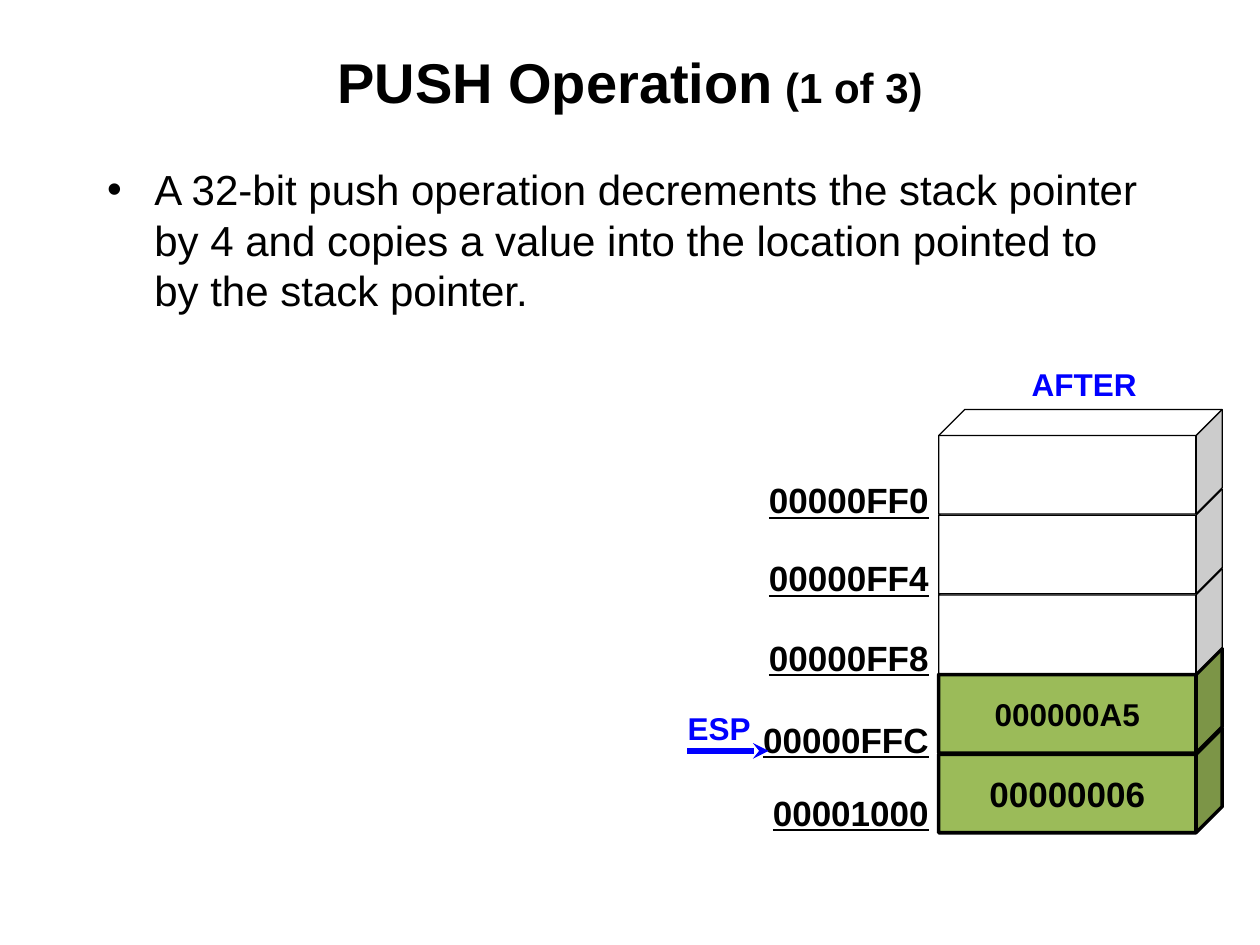
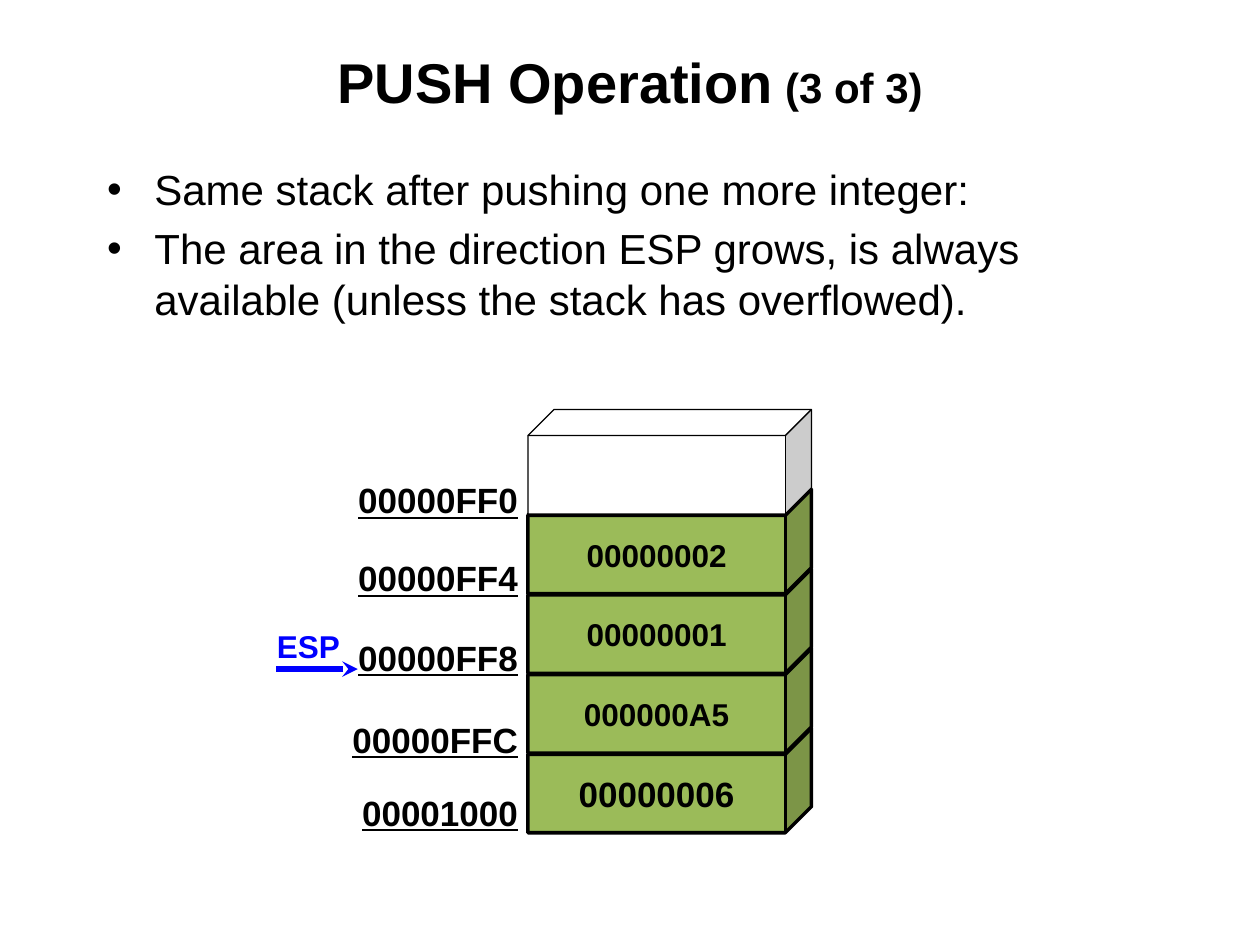
from dataclasses import dataclass
from typing import Optional

from pptx import Presentation
from pptx.dml.color import RGBColor
from pptx.enum.shapes import MSO_CONNECTOR as Link, MSO_SHAPE as Form
from pptx.enum.text import MSO_ANCHOR as Anchor, MSO_AUTO_SIZE as Fit, PP_ALIGN as Align
from pptx.oxml.ns import qn
from pptx.slide import Slide
from pptx.text.text import Font
from pptx.util import Inches, Pt
from lxml.etree import SubElement

WIDE, HIGH = Inches(10), Inches(7.5)
FACE = "Arial"
BLACK, WHITE, GREEN, BLUE = "000000", "FFFFFF", "9BBB59", "0000FF"

CELL_W, CELL_H, PITCH, TOP = 22.5, 11.07, 8.43, 43.33
SLOTS = [
    ("00000FF0", 50),
    ("00000FF4", 58.27),
    ("00000FF8", 66.67),
    ("00000FFC", 75.33),
    ("00001000", 83.07),
]


@dataclass
class Box:
    x: float
    y: float
    w: float
    h: float

    def emu(self) -> tuple:
        return across(self.x), down(self.y), across(self.w), down(self.h)


@dataclass
class Page:
    count: str
    points: list[str]
    left: float
    values: list[str]
    head: Optional[str] = None


PAGES = [
    Page(
        "1 of 3",
        ["A 32-bit push operation decrements the stack pointer by 4 and copies "
         "a value into the location pointed to by the stack pointer."],
        74.5,
        ["000000A5", "00000006"],
        "AFTER",
    ),
    Page(
        "3 of 3",
        ["Same stack after pushing one more integer:",
         "The area in the direction ESP grows, is always available "
         "(unless the stack has overflowed)."],
        41.9,
        ["00000002", "00000001", "000000A5", "00000006"],
    ),
]


def across(share: float) -> int:
    return round(WIDE * share / 100)


def down(share: float) -> int:
    return round(HIGH * share / 100)


def tint(code: str) -> RGBColor:
    return RGBColor.from_string(code)


def style(font: Font, size: float, code: str = BLACK, bold: bool = True) -> None:
    font.name, font.size, font.bold = FACE, Pt(size), bold
    font.color.rgb = tint(code)


def place(shape, box: Box) -> None:
    shape.left, shape.top, shape.width, shape.height = box.emu()


def add_title(slide: Slide, count: str) -> None:
    title = slide.shapes.title
    place(title, Box(5, 2.27, 90, 12.67))
    frame = title.text_frame
    frame.auto_size, frame.vertical_anchor = Fit.NONE, Anchor.MIDDLE
    frame.text = "PUSH Operation"
    line = frame.paragraphs[0]
    line.alignment = Align.CENTER
    line.add_run().text = f" ({count})"
    for run, size in zip(line.runs, (32, 24)):
        style(run.font, size)


def add_list(slide: Slide, points: list[str]) -> None:
    body = slide.placeholders[1]
    place(body, Box(7.5, 16.67, 85, 18.93))
    frame = body.text_frame
    frame.auto_size = Fit.NONE
    frame.text = "\n".join(points)
    frame.paragraphs[0].space_before = Pt(0)
    for line in frame.paragraphs:
        style(line.runs[0].font, 24, bold=False)


def add_note(slide: Slide, box: Box, text: str, size: float, code: str,
             side: Align = Align.LEFT, wrap: bool = False) -> Font:
    frame = slide.shapes.add_textbox(*box.emu()).text_frame
    frame.word_wrap, frame.auto_size = wrap, Fit.SHAPE_TO_FIT_TEXT
    frame.text = text
    line = frame.paragraphs[0]
    line.alignment = side
    font = line.runs[0].font
    style(font, size, code)
    return font


def add_cell(slide: Slide, box: Box, value: str, size: float) -> None:
    cube = slide.shapes.add_shape(Form.CUBE, *box.emu())
    cube.shadow.inherit = False
    cube.fill.solid()
    cube.fill.fore_color.rgb = tint(GREEN if value else WHITE)
    cube.line.color.rgb = tint(BLACK)
    cube.line.width = Pt(2 if value else 0.75)
    if value:
        frame = cube.text_frame
        frame.text, frame.vertical_anchor = value, Anchor.MIDDLE
        line = frame.paragraphs[0]
        line.alignment = Align.CENTER
        style(line.runs[0].font, size)


def add_mark(slide: Slide, left: float, y: float) -> None:
    arrow = slide.shapes.add_connector(
        Link.STRAIGHT, across(left - 13.5), down(y), across(left - 20), down(y))
    arrow.line.color.rgb, arrow.line.width = tint(BLUE), Pt(3)
    props = arrow._element.spPr
    SubElement(props.find(qn("a:ln")), qn("a:headEnd"), type="stealth")
    SubElement(props, qn("a:effectLst"))
    add_note(slide, Box(left - 20.9, y - 5.13, 7, 5.33), "ESP", 18, BLUE)


def add_stack(slide: Slide, page: Page) -> None:
    last = len(SLOTS) - 1
    free = len(SLOTS) - len(page.values)
    cells = [""] * free + page.values
    for row in range(last, -1, -1):
        box = Box(page.left, TOP + row * PITCH, CELL_W, CELL_H)
        add_cell(slide, box, cells[row], 20 if row == last else 18)
    for name, y in SLOTS:
        box = Box(page.left - 15.9, y, 16.1, 5.87)
        font = add_note(slide, box, name, 20, BLACK, Align.RIGHT, True)
        font.underline = True
    # The removed marker line is intentionally absent.
    add_mark(slide, page.left, SLOTS[free][1] + 4.13) if len(page.values) == 2 else add_mark(
        slide, page.left, SLOTS[2][1] + 4.13)
    if page.head:
        add_note(slide, Box(page.left + 6.4, 38, 10.4, 5.33), page.head, 18, BLUE)


def main() -> None:
    deck = Presentation()
    deck.slide_width, deck.slide_height = WIDE, HIGH
    for page in PAGES:
        slide = deck.slides.add_slide(deck.slide_layouts[1])
        add_title(slide, page.count)
        add_list(slide, page.points)
        add_stack(slide, page)
    deck.save("out.pptx")


if __name__ == "__main__":
    main()
